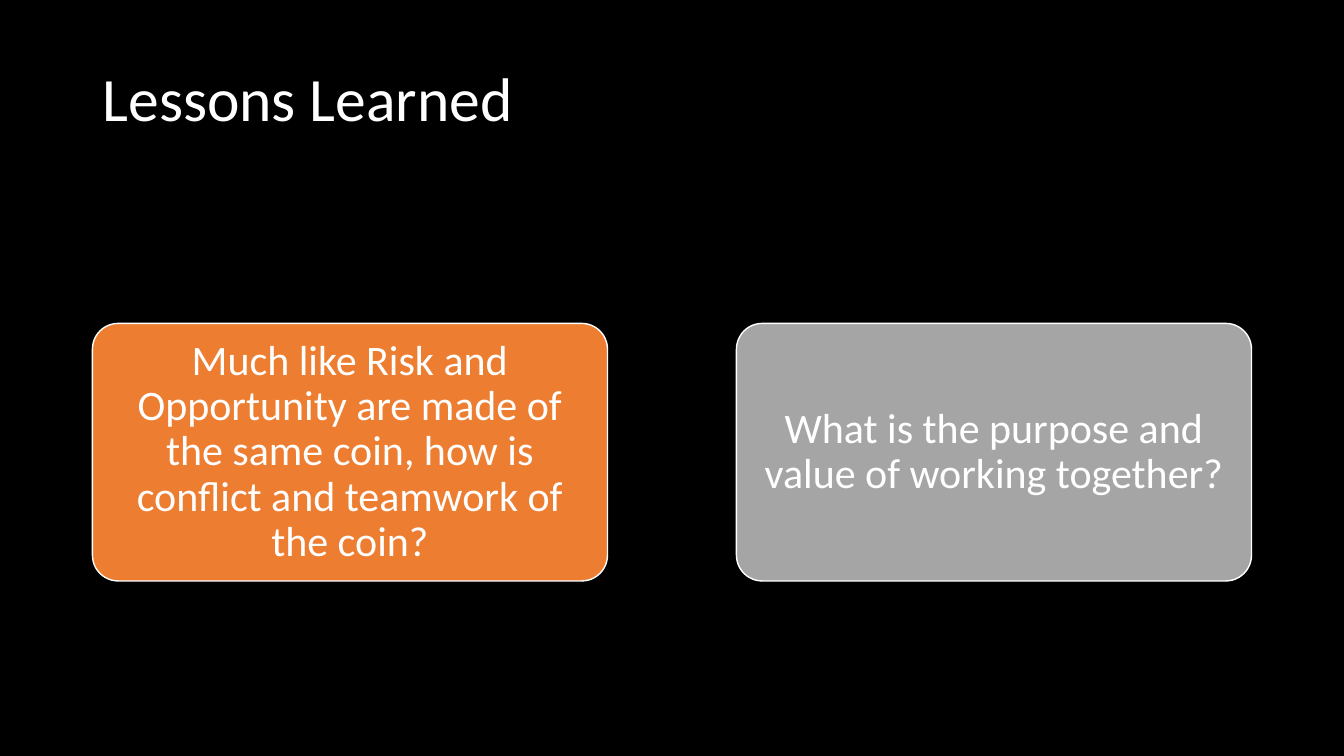
from dataclasses import dataclass

from pptx import Presentation
from pptx.dml.color import RGBColor
from pptx.enum.shapes import MSO_SHAPE
from pptx.enum.text import MSO_ANCHOR, MSO_AUTO_SIZE, PP_ALIGN
from pptx.util import Cm, Pt


@dataclass(frozen=True)
class Theme:
    font: str = "Calibri"
    title_size: Pt = Pt(44)
    card_size: Pt = Pt(30)
    background: RGBColor = RGBColor(0x00, 0x00, 0x00)
    text: RGBColor = RGBColor(0xFF, 0xFF, 0xFF)
    orange: RGBColor = RGBColor(0xED, 0x7D, 0x31)
    gray: RGBColor = RGBColor(0xA5, 0xA5, 0xA5)


THEME = Theme()


def write_text(shape, text, size, alignment, anchor):
    frame = shape.text_frame
    frame.text = text
    frame.word_wrap = True
    frame.auto_size = MSO_AUTO_SIZE.NONE
    frame.vertical_anchor = anchor
    paragraph = frame.paragraphs[0]
    paragraph.alignment = alignment
    paragraph.line_spacing = 0.9
    font = paragraph.runs[0].font
    font.name = THEME.font
    font.size = size
    font.color.rgb = THEME.text


presentation = Presentation()
presentation.slide_width = Cm(33.87)
presentation.slide_height = Cm(19.05)
slide = presentation.slides.add_slide(presentation.slide_layouts[5])
slide.background.fill.solid()
slide.background.fill.fore_color.rgb = THEME.background

margin = Cm(2.33)

title = slide.shapes.title
title.left, title.top = margin, Cm(0.71)
title.width, title.height = Cm(29.19), Cm(2.82)
write_text(title, "Lessons Learned", THEME.title_size, PP_ALIGN.LEFT, MSO_ANCHOR.BOTTOM)

questions = [
    ("Much like Risk and Opportunity are made of the same coin, "
     "how is conflict and teamwork of the coin?", THEME.orange),
    ("What is the purpose and value of working together?", THEME.gray),
]
card_top, card_width, card_height = Cm(8.15), Cm(12.98), Cm(6.49)
card_gap = Cm(3.25)

for index, (question, color) in enumerate(questions):
    left = margin + index * (card_width + card_gap)
    card = slide.shapes.add_shape(
        MSO_SHAPE.ROUNDED_RECTANGLE, left, card_top, card_width, card_height)
    card.adjustments[0] = 0.1
    card.shadow.inherit = False
    card.fill.solid()
    card.fill.fore_color.rgb = color
    card.line.color.rgb = THEME.text
    card.line.width = Pt(1)
    frame = card.text_frame
    frame.margin_left = frame.margin_right = Cm(0.15)
    frame.margin_top = frame.margin_bottom = Cm(0.1)
    write_text(card, question, THEME.card_size, PP_ALIGN.CENTER, MSO_ANCHOR.MIDDLE)

presentation.save("out.pptx")
